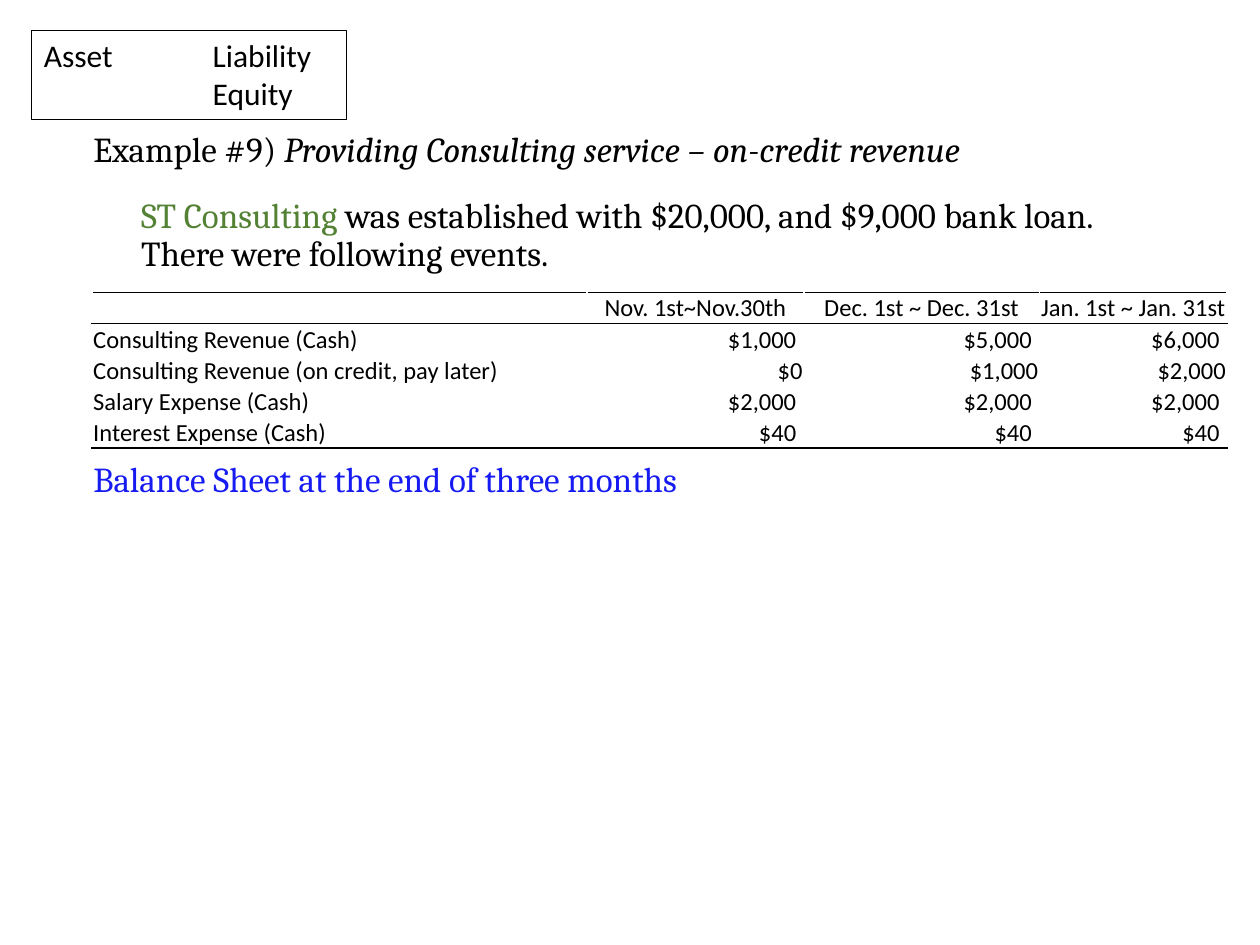
from dataclasses import dataclass
from lxml.etree import SubElement
from pptx import Presentation
from pptx.dml.color import RGBColor as Color
from pptx.enum.shapes import MSO_SHAPE as Shape
from pptx.enum.text import MSO_ANCHOR as Anchor, MSO_AUTO_SIZE as AutoSize, PP_ALIGN as Align
from pptx.oxml.ns import qn
from pptx.util import Inches, Pt


@dataclass(frozen=True)
class Theme:
    black: str = "000000"
    white: str = "FFFFFF"
    green: str = "548235"
    blue: str = "161BF2"
    sans: str = "Calibri"
    serif: str = "Cambria"
    body_size: int = 20
    box_size: int = 18
    table_size: int = 14


theme = Theme()


def add_span(para, text, font, size, color=theme.black, italic=False):
    span = para.add_run()
    span.text = text
    span.font.name = font
    span.font.size = Pt(size)
    span.font.italic = italic
    span.font.color.rgb = Color.from_string(color)


def add_border(cell, side, color):
    line = SubElement(cell._tc.get_or_add_tcPr(), qn(f"a:ln{side}"), w=str(Pt(1)))
    fill = SubElement(line, qn("a:solidFill"))
    SubElement(fill, qn("a:srgbClr"), val=color)


deck = Presentation()
deck.slide_width, deck.slide_height = Inches(10), Inches(7.5)
page = deck.slides.add_slide(deck.slide_layouts[1])
title = page.shapes.title.element
title.getparent().remove(title)

body = page.placeholders[1]
body.left, body.top, body.width, body.height = Inches(0.64), Inches(1), Inches(8.6), Inches(4.76)
frame = body.text_frame
frame.word_wrap = True
frame.auto_size = AutoSize.NONE
frame.vertical_anchor = Anchor.TOP
body_paragraphs = [
    (-0.38, 0, 6, [
        ("Example #9) ", theme.black, False),
        ("Providing Consulting service – on-credit revenue", theme.black, True),
    ]),
    (0, 10, 24, [
        ("ST Consulting ", theme.green, False),
        ("was established with $20,000, and $9,000 bank loan. There were following events.",
         theme.black, False),
    ]),
    (-0.38, 84, 6, [("Balance Sheet at the end of three months", theme.blue, False)]),
]
for index, (indent, before, after, spans) in enumerate(body_paragraphs):
    para = frame.add_paragraph() if index else frame.paragraphs[0]
    props = para._p.get_or_add_pPr()
    props.set("marL", str(Inches(0.38)))
    props.set("indent", str(Inches(indent)))
    SubElement(props, qn("a:buNone"))
    para.line_spacing = 0.9
    para.space_before, para.space_after = Pt(before), Pt(after)
    for text, color, italic in spans:
        add_span(para, text, theme.serif, theme.body_size, color, italic)

box = page.shapes.add_shape(Shape.RECTANGLE, Inches(0.25), Inches(0.24), Inches(2.5), Inches(0.71))
box.shadow.inherit = False
box.fill.background()
box.line.color.rgb = Color.from_string(theme.black)
box.line.width = Pt(0.75)
box.text_frame.word_wrap = True
box.text_frame.vertical_anchor = Anchor.TOP
for index, text in enumerate(["Asset\tLiability", "\tEquity"]):
    para = box.text_frame.add_paragraph() if index else box.text_frame.paragraphs[0]
    para.alignment = Align.LEFT
    tabs = SubElement(para._p.get_or_add_pPr(), qn("a:tabLst"))
    SubElement(tabs, qn("a:tab"), pos=str(Inches(1.34)), algn="l")
    add_span(para, text, theme.sans, theme.box_size)

events = [
    ["", "Nov. 1st~Nov.30th", "Dec. 1st ~ Dec. 31st", "Jan. 1st ~ Jan. 31st"],
    ["Consulting Revenue (Cash)", "$1,000", "$5,000", "$6,000"],
    ["Consulting Revenue (on credit, pay later)", "$0", "$1,000", "$2,000"],
    ["Salary Expense (Cash)", "$2,000", "$2,000", "$2,000"],
    ["Interest Expense (Cash)", "$40", "$40", "$40"],
]
credit_row, last_row = 2, len(events) - 1
table = page.shapes.add_table(
    len(events), 4, Inches(0.73), Inches(2.32), Inches(9.01), Inches(1.22)).table
table.first_row = table.horz_banding = False
for column, width in zip(table.columns, [3.93, 1.72, 1.87, 1.49]):
    column.width = Inches(width)

for row, texts in enumerate(events):
    for col, text in enumerate(texts):
        cell = table.cell(row, col)
        cell.vertical_anchor = Anchor.MIDDLE
        cell.margin_left = cell.margin_top = cell.margin_right = Inches(0.01)
        cell.margin_bottom = 0
        if row and col and row != credit_row:
            cell.margin_right = Inches(0.06)
        top = theme.black if row < 2 else theme.white
        bottom = theme.black if row in (0, last_row) else theme.white
        for side, color in zip("LRTB", [theme.white, theme.white, top, bottom]):
            add_border(cell, side, color)
        cell.fill.background()
        para = cell.text_frame.paragraphs[0]
        if col:
            para.alignment = Align.RIGHT if row else Align.CENTER
        if text:
            add_span(para, text, theme.sans, theme.table_size)
        else:
            SubElement(para._p, qn("a:endParaRPr"), sz=str(theme.table_size * 100))

deck.save("out.pptx")
